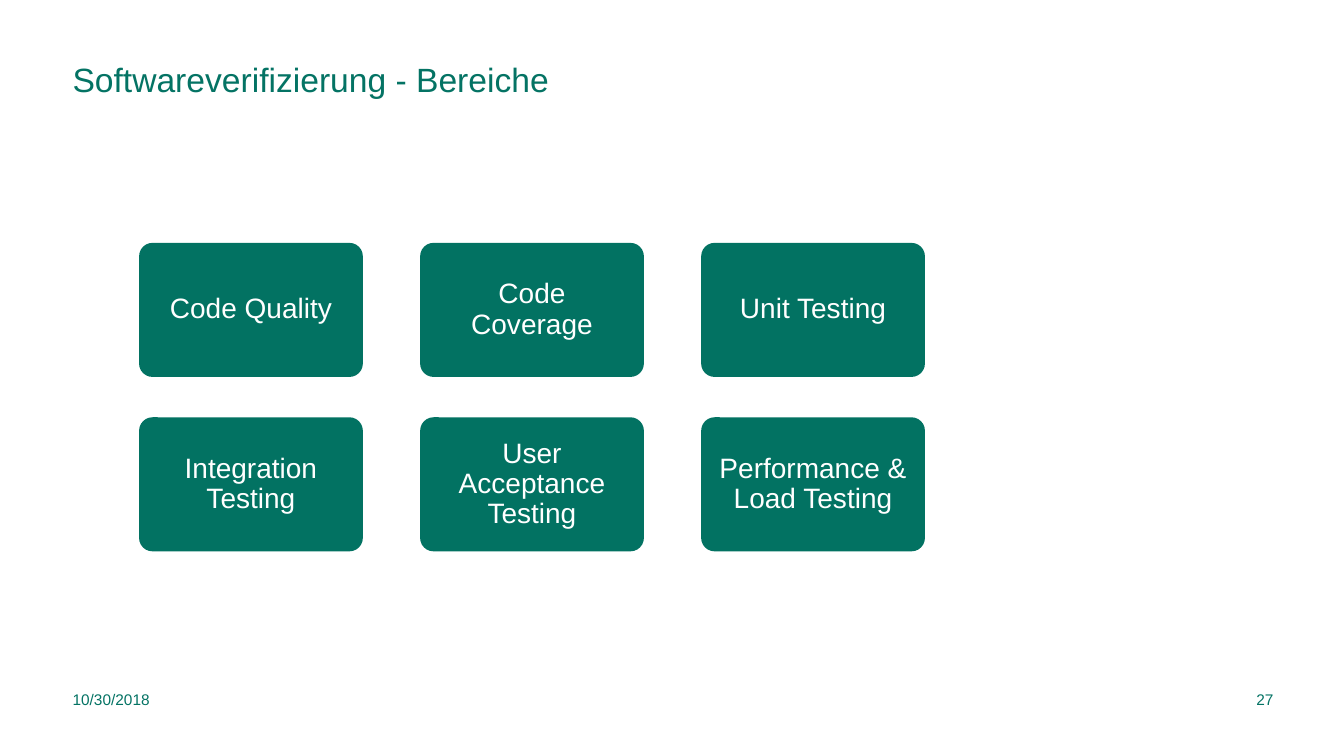
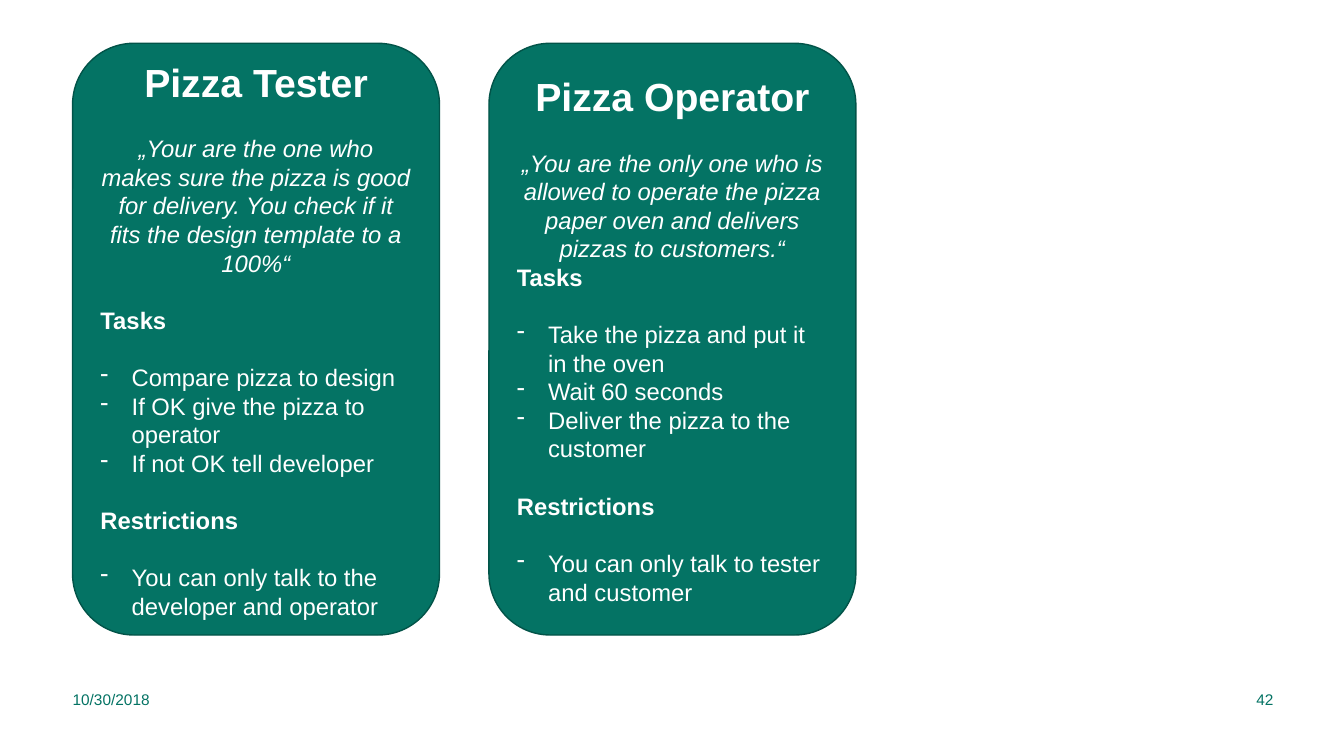
"""Build two slides: areas of software verification and pizza role cards."""
from dataclasses import dataclass
from typing import Optional

from lxml import etree
from pptx import Presentation
from pptx import util as u
from pptx.dml.color import RGBColor
from pptx.enum import shapes, text
from pptx.oxml.ns import qn

WIDE, HIGH = u.Inches(13.33), u.Inches(7.5)
FONT = "Arial"
HUES = {"brand": "047364", "tile": "027262", "edge": "025348", "light": "FFFFFF"}
LEFT, MID, RIGHT = text.PP_ALIGN.LEFT, text.PP_ALIGN.CENTER, text.PP_ALIGN.RIGHT
BODY, GAP = 17, 20.5


@dataclass(frozen=True)
class Box:
    """Place and size in percent of the slide."""
    x: float
    y: float
    w: float
    h: float

    def emu(self) -> tuple[int, int, int, int]:
        """Return left, top, width and height as lengths."""
        return (int(WIDE * self.x / 100), int(HIGH * self.y / 100),
                int(WIDE * self.w / 100), int(HIGH * self.h / 100))


@dataclass(frozen=True)
class Grid:
    """Equal cells, laid out from a first cell at fixed steps."""
    first: Box
    dx: float
    dy: float = 0

    def cell(self, col: int, row: int = 0) -> Box:
        """Return the box at a column and row."""
        one = self.first
        return Box(one.x + col * self.dx, one.y + row * self.dy, one.w, one.h)


@dataclass(frozen=True)
class Style:
    """Look of one paragraph."""
    size: float
    hue: str = "light"
    align: text.PP_ALIGN = LEFT
    bold: bool = False
    slant: bool = False
    lead: Optional[float] = None
    dash: bool = False


@dataclass(frozen=True)
class Role:
    """Content of one role card."""
    name: str
    quote: str
    tasks: tuple[str, ...]
    limits: tuple[str, ...]
    gap: float = GAP


DATE = Box(5.4, 90.27, 14.78, 4.4)
PAGE = Box(90.32, 90.27, 4.43, 4.4)
TITLE = Box(5.4, 8.4, 63.47, 13.07)
TILES = Grid(Box(10.35, 32.13, 16.65, 17.73), 20.91, 23.07)
CARDS = Grid(Box(5.4, 5.73, 27.3, 78.27), 30.98)

HEAD = Style(24, "brand", lead=0.9)
FOOT = Style(11, "brand")
NUM = Style(11, "brand", RIGHT)
AREA = Style(20, align=MID, lead=0.9)
NAME = Style(28, align=MID, bold=True)
QUOTE = Style(BODY, align=MID, slant=True)
LABEL = Style(BODY, bold=True)
ITEM = Style(BODY, dash=True)

AREAS = (
    ("Code Quality", "Code Coverage", "Unit Testing"),
    ("Integration Testing", "User Acceptance Testing", "Performance & Load Testing"),
)
ROLES = (
    Role("Pizza Tester",
         "„Your are the one who makes sure the pizza is good for delivery. "
         "You check if it fits the design template to a 100%“",
         ("Compare pizza to design", "If OK give the pizza to operator",
          "If not OK tell developer"),
         ("You can only talk to the developer and operator",)),
    Role("Pizza Operator",
         "„You are the only one who is allowed to operate the pizza paper oven "
         "and delivers pizzas to customers.“",
         ("Take the pizza and put it in the oven", "Wait 60 seconds",
          "Deliver the pizza to the customer"),
         ("You can only talk to tester and customer",), gap=0),
)


def tint(hue: str) -> RGBColor:
    """Return a named colour."""
    return RGBColor.from_string(HUES[hue])


def bullet(para) -> None:
    """Give a paragraph a dash and a hanging indent."""
    props = para._p.get_or_add_pPr()
    props.set("marL", str(u.Inches(0.31)))
    props.set("indent", str(-u.Inches(0.31)))
    shade = etree.SubElement(props, qn("a:buClr"))
    etree.SubElement(shade, qn("a:srgbClr"), val=HUES["light"])
    etree.SubElement(props, qn("a:buChar"), char="-")


def write(para, words: str, style: Style, before: float = 0) -> None:
    """Fill a paragraph with styled text."""
    para.text = words
    if style.dash:
        bullet(para)
    para.alignment = style.align
    para.space_before = u.Pt(before)
    if style.lead:
        para.line_spacing = style.lead
    font = para.font
    font.name, font.size = FONT, u.Pt(style.size)
    font.bold, font.italic = style.bold, style.slant
    font.color.rgb = tint(style.hue)


def setup(shape, anchor: text.MSO_ANCHOR, pads: tuple[float, ...]):
    """Set wrapping, anchor and margins, and return the text frame."""
    frame = shape.text_frame
    frame.word_wrap = True
    frame.vertical_anchor = anchor
    (frame.margin_left, frame.margin_top, frame.margin_right,
     frame.margin_bottom) = map(u.Inches, pads)
    return frame


def label(slide, box: Box, words: str, style: Style,
          anchor: text.MSO_ANCHOR = text.MSO_ANCHOR.MIDDLE, foot: float = 0) -> None:
    """Add one line of free text."""
    shape = slide.shapes.add_textbox(*box.emu())
    frame = setup(shape, anchor, (0, 0, 0, foot))
    write(frame.paragraphs[0], words, style)


def panel(slide, box: Box, hue: str, bend: float, pad: float, edge: str = ""):
    """Add a rounded panel and return its text frame."""
    shape = slide.shapes.add_shape(shapes.MSO_SHAPE.ROUNDED_RECTANGLE, *box.emu())
    shape.shadow.inherit = False
    shape.adjustments[0] = bend
    shape.fill.solid()
    shape.fill.fore_color.rgb = tint(hue)
    if edge:
        shape.line.color.rgb = tint(edge)
        shape.line.width = u.Pt(1)
    else:
        shape.line.fill.background()
    return setup(shape, text.MSO_ANCHOR.MIDDLE, (0.1, pad, 0.1, pad))


def page(deck, num: int, title: str = ""):
    """Add a slide with its footer and, if given, a title."""
    slide = deck.slides.add_slide(deck.slide_layouts[6])
    label(slide, DATE, "10/30/2018", FOOT)
    label(slide, PAGE, str(num), NUM)
    if title:
        label(slide, TITLE, title, HEAD, text.MSO_ANCHOR.TOP, 0.04)
    return slide


def card(slide, box: Box, role: Role) -> None:
    """Draw one role card."""
    frame = panel(slide, box, "brand", 0.167, 0.05, "edge")
    write(frame.paragraphs[0], role.name, NAME)
    write(frame.add_paragraph(), role.quote, QUOTE, GAP)
    parts = (("Tasks", role.tasks, role.gap), ("Restrictions", role.limits, GAP))
    for head, items, gap in parts:
        write(frame.add_paragraph(), head, LABEL, gap)
        for rank, item in enumerate(items):
            write(frame.add_paragraph(), item, ITEM, 0 if rank else GAP)


def main() -> None:
    """Build and save the deck."""
    deck = Presentation()
    deck.slide_width, deck.slide_height = WIDE, HIGH
    slide = page(deck, 27, "Softwareverifizierung - Bereiche")
    for row, names in enumerate(AREAS):
        for col, name in enumerate(names):
            frame = panel(slide, TILES.cell(col, row), "tile", 0.1, 0.1)
            write(frame.paragraphs[0], name, AREA)
    slide = page(deck, 42)
    for col, role in enumerate(ROLES):
        card(slide, CARDS.cell(col), role)
    deck.save("out.pptx")


if __name__ == "__main__":
    main()
